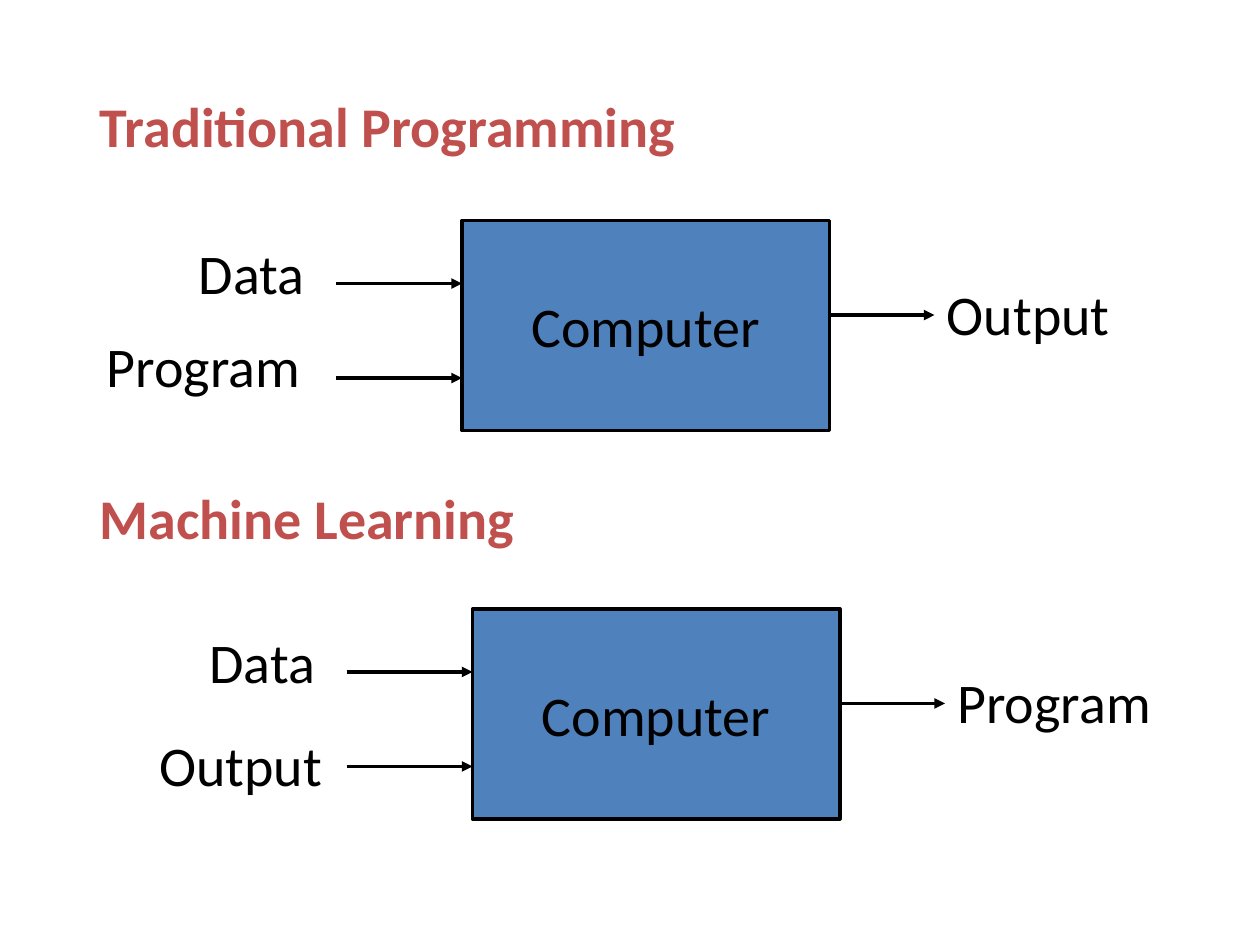
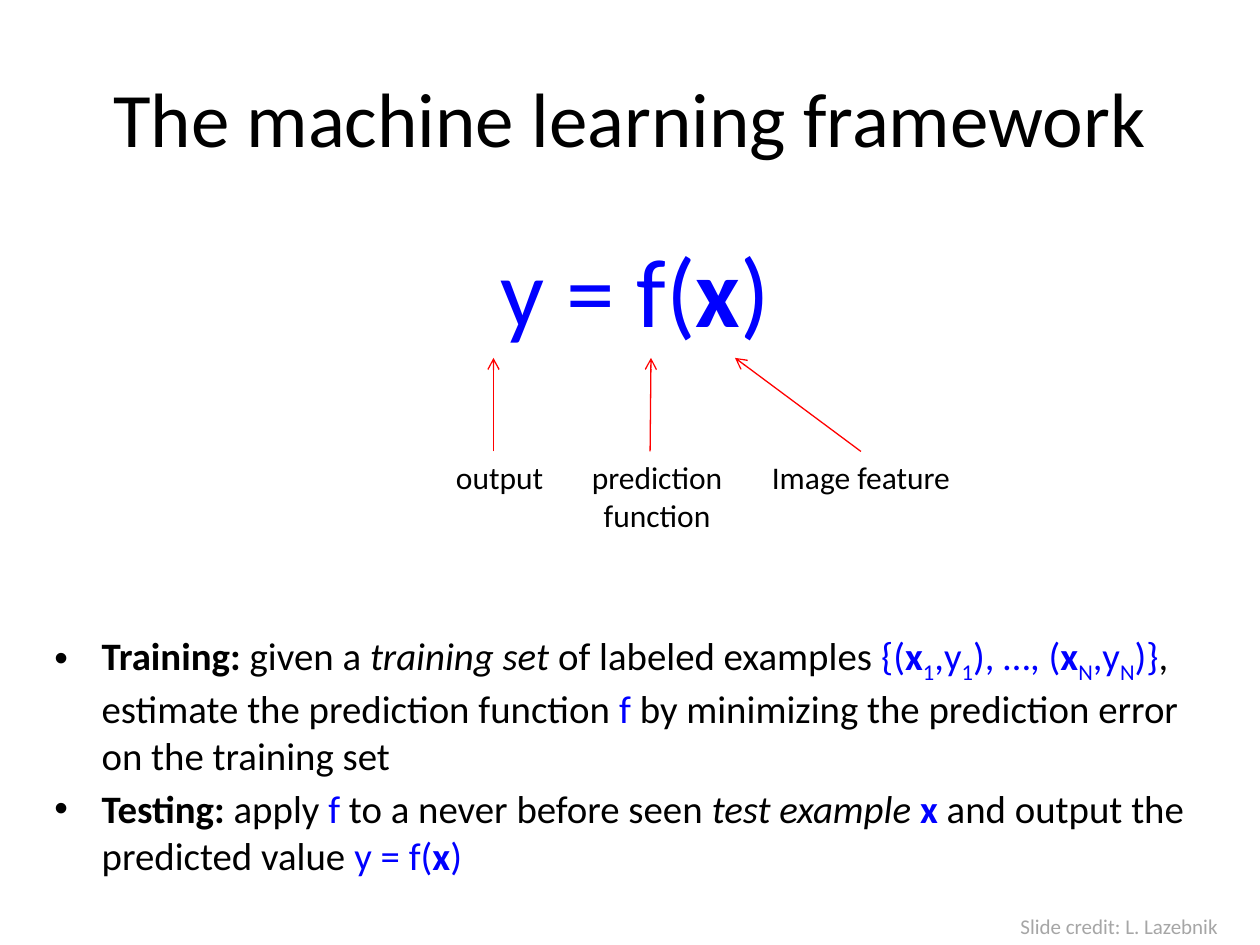
import pptx
import pptx.util
import pptx.dml.color
import pptx.enum.shapes
import pptx.enum.text
import pptx.oxml
import pptx.oxml.ns
from dataclasses import dataclass

Pt = pptx.util.Pt
ALIGN = pptx.enum.text.PP_ALIGN
ANCHOR = pptx.enum.text.MSO_ANCHOR


@dataclass(frozen=True)
class Theme:
    font: str = "Calibri"
    ink: str = "000000"
    head: str = "C0504D"
    fill: str = "4F81BD"
    math: str = "0000FF"
    mark: str = "FF0000"
    mute: str = "A6A6A6"
    title: float = 44
    large: float = 32
    sum: float = 55.5
    body: float = 22.2
    note: float = 18
    small: float = 12


T = Theme()


def rgb(code):
    return pptx.dml.color.RGBColor.from_string(code)


def apply(item, values):
    for name, value in values.items():
        setattr(item, name, value)


def child(parent, tag, **attrs):
    node = pptx.oxml.parse_xml(f"<{tag} {pptx.oxml.ns.nsdecls('a')}/>")
    for name, value in attrs.items():
        node.set(name, value)
    parent.append(node)


# Runs are (text, marks): b bold, i italic, m math colour, s subscript
def write(para, runs, size, color=T.ink):
    for text, marks in runs:
        run = para.add_run()
        run.text = text
        apply(run.font, {"name": T.font, "size": Pt(size),
                         "bold": "b" in marks, "italic": "i" in marks})
        run.font.color.rgb = rgb(T.math if "m" in marks else color)
        if "s" in marks:
            run.font._element.set("baseline", "-25000")


def label(slide, box, runs, size, color=T.ink, align=ALIGN.LEFT,
          anchor=ANCHOR.TOP):
    shape = slide.shapes.add_textbox(*map(Pt, box))
    apply(shape.text_frame, {"word_wrap": True, "vertical_anchor": anchor})
    para = shape.text_frame.paragraphs[0]
    para.alignment = align
    write(para, [(runs, "")] if isinstance(runs, str) else runs, size, color)


def arrow(slide, start, end, color, width, head):
    line = slide.shapes.add_connector(
        pptx.enum.shapes.MSO_CONNECTOR.STRAIGHT, *map(Pt, start + end))
    line.line.color.rgb = rgb(color)
    line.line.width = Pt(width)
    props = line._element.spPr
    child(props.get_or_add_ln(), "a:tailEnd", type=head)
    child(props, "a:effectLst")


# One flow: inputs enter the box, one result leaves it
def flow(slide, x, y, inputs, result):
    wide, high = 210, 120
    box = slide.shapes.add_shape(pptx.enum.shapes.MSO_SHAPE.RECTANGLE,
                                 Pt(x), Pt(y), Pt(wide), Pt(high))
    box.shadow.inherit = False
    box.fill.solid()
    box.fill.fore_color.rgb = rgb(T.fill)
    box.line.color.rgb = rgb(T.ink)
    box.line.width = Pt(2)
    apply(box.text_frame, {"word_wrap": False,
                           "vertical_anchor": ANCHOR.MIDDLE})
    para = box.text_frame.paragraphs[0]
    para.alignment = ALIGN.CENTER
    write(para, [("Computer", "")], T.large)

    for drop in (36, 90):
        arrow(slide, (x - 72, y + drop), (x, y + drop), T.ink, 2, "triangle")
    arrow(slide, (x + wide, y + 54), (x + wide + 60, y + 54),
          T.ink, 2, "triangle")
    for text, dx, dy, w in inputs + [(result, wide + 60, 30, 137)]:
        label(slide, (x + dx, y + dy, w, 46), text, T.large)


def compare(slide):
    data = ("Data", -157.5, 7, 82)
    parts = [
        ("Traditional Programming", 49, 264, 126,
         [data, ("Program", -210, 60, 137)], "Output"),
        ("Machine Learning", 273, 270, 348,
         [data, ("Output", -186, 66, 110)], "Program"),
    ]
    for head, top, x, y, inputs, result in parts:
        label(slide, (50, top, 600, 46), [(head, "b")], T.large, T.head)
        flow(slide, x, y, inputs, result)


# The formula with an arrow from each caption to its term
def formula(slide, x, y, w):
    label(slide, (x, y, w, 75), [("y = f(", "m"), ("x", "bm"), (")", "m")],
          T.sum, align=ALIGN.CENTER)
    base, tip = y + 130, y + 76.5
    terms = [("output", 228.5, 66, 258, 258),
             ("prediction function", 277, 149, 347.5, 348),
             ("Image feature", 408.5, 119, 468, 396)]
    for text, left, wide, start, end in terms:
        arrow(slide, (x + start, base), (x + end, tip), T.mark, 0.75, "arrow")
        label(slide, (x + left, base, wide, 51), text, T.note,
              align=ALIGN.CENTER)


def bullets(slide, box, items):
    shape = slide.shapes.add_textbox(*map(Pt, box))
    frame = shape.text_frame
    frame.word_wrap = True
    for i, runs in enumerate(items):
        para = frame.add_paragraph() if i else frame.paragraphs[0]
        if i:
            para.space_before = Pt(4)
        props = para._p.get_or_add_pPr()
        props.set("marL", str(Pt(27)))
        props.set("indent", str(-Pt(27)))
        child(props, "a:buFont", typeface="Arial")
        child(props, "a:buChar", char="•")
        write(para, runs, T.body)


def frame(slide):
    label(slide, (36, 21.6, 648, 90), "The machine learning framework",
          T.title, align=ALIGN.CENTER, anchor=ANCHOR.MIDDLE)
    formula(slide, 24, 128, 678)
    train = [("Training: ", "b"), ("given a ", ""), ("training set ", "i"),
             ("of labeled examples ", ""), ("{(", "m"), ("x", "bm"),
             ("1", "ms"), (",y", "m"), ("1", "ms"), ("), …, (", "m"),
             ("x", "bm"), ("N", "ms"), (",y", "m"), ("N", "ms"), (")}", "m"),
             (", estimate the prediction function ", ""), ("f ", "m"),
             ("by minimizing the prediction error on the training set", "")]
    test = [("Testing:", "b"), (" apply ", ""), ("f", "m"),
            (" to a never before seen ", ""), ("test example ", "i"),
            ("x", "bm"), (" and output the predicted value ", ""),
            ("y = f(", "m"), ("x", "bm"), (")", "m")]
    bullets(slide, (24, 357.5, 678, 150), [train, test])
    label(slide, (576, 518.4, 143, 21.6), "Slide credit: L. Lazebnik",
          T.small, T.mute)


deck = pptx.Presentation()
apply(deck, {"slide_width": Pt(720), "slide_height": Pt(540)})
for build in (compare, frame):
    build(deck.slides.add_slide(deck.slide_layouts[6]))
deck.save("out.pptx")
